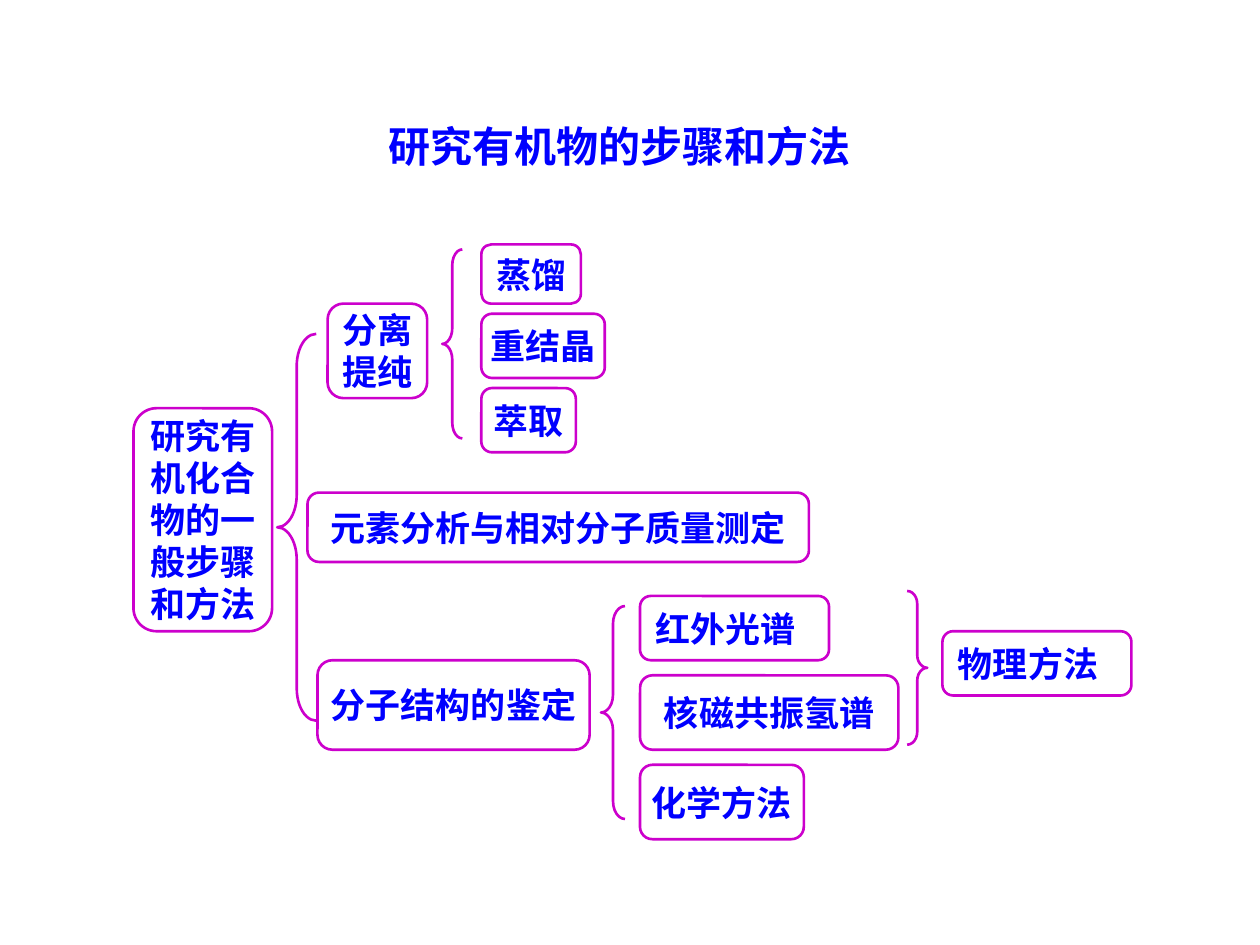
from dataclasses import dataclass

from pptx import Presentation
from pptx.dml.color import RGBColor
from pptx.enum.shapes import MSO_SHAPE
from pptx.enum.text import MSO_ANCHOR, PP_ALIGN
from pptx.util import Inches, Pt

ROUNDED = MSO_SHAPE.ROUNDED_RECTANGLE
LEFT_BRACE, RIGHT_BRACE = MSO_SHAPE.LEFT_BRACE, MSO_SHAPE.RIGHT_BRACE
LEFT, CENTER = PP_ALIGN.LEFT, PP_ALIGN.CENTER
MIDDLE = MSO_ANCHOR.MIDDLE


@dataclass(frozen=True)
class Theme:
    font: str = "Times New Roman"
    text: RGBColor = RGBColor(0x00, 0x00, 0xFF)
    line: RGBColor = RGBColor(0xCC, 0x00, 0xCC)
    line_width: Pt = Pt(1.5)
    title_size: Pt = Pt(24)
    body_size: Pt = Pt(20)


@dataclass(frozen=True)
class Node:
    lines: tuple[str, ...]
    x: float
    y: float
    w: float
    h: float
    align: PP_ALIGN = CENTER


@dataclass(frozen=True)
class Brace:
    x: float
    y: float
    w: float
    h: float
    kind: MSO_SHAPE = LEFT_BRACE


THEME = Theme()
METHOD_X, SPECTRUM_X = 3.82, 5.08

NODES = (
    Node(("研究有", "机化合", "物的一", "般步骤", "和方法"), 1.06, 3.24, 1.1, 1.77),
    Node(("分离", "提纯"), 2.6, 2.41, 0.79, 0.75),
    Node(("元素分析与相对分子质量测定",), 2.44, 3.91, 3.98, 0.55),
    Node(("分子结构的鉴定",), 2.52, 5.24, 2.16, 0.71),
    Node(("蒸馏",), METHOD_X, 1.94, 0.79, 0.47),
    Node(("重结晶",), METHOD_X, 2.49, 0.98, 0.51),
    Node(("萃取",), METHOD_X, 3.08, 0.75, 0.51),
    Node(("红外光谱",), SPECTRUM_X, 4.73, 1.5, 0.51, LEFT),
    Node(("核磁共振氢谱",), SPECTRUM_X, 5.36, 2.05, 0.59),
    Node(("化学方法",), SPECTRUM_X, 6.07, 1.3, 0.59),
    Node(("物理方法",), 7.48, 5.01, 1.5, 0.51, LEFT),
)

BRACES = (
    Brace(2.2, 2.65, 0.31, 3.07),
    Brace(3.51, 1.98, 0.16, 1.5),
    Brace(4.77, 4.81, 0.19, 1.69),
    Brace(7.2, 4.69, 0.16, 1.22, RIGHT_BRACE),
)


def write_lines(tf, lines: tuple[str, ...], size: Pt, align: PP_ALIGN) -> None:
    for i, line in enumerate(lines):
        p = tf.add_paragraph() if i else tf.paragraphs[0]
        p.text = line
        p.alignment = align
        p.font.name = THEME.font
        p.font.size = size
        p.font.bold = True
        p.font.color.rgb = THEME.text


def add_outline(slide, kind: MSO_SHAPE, item: Node | Brace):
    """Add an unfilled shape with the theme's line."""
    sp = slide.shapes.add_shape(
        kind, Inches(item.x), Inches(item.y), Inches(item.w), Inches(item.h))
    sp.shadow.inherit = False
    sp.fill.background()
    sp.line.color.rgb = THEME.line
    sp.line.width = THEME.line_width
    return sp


def add_node(slide, node: Node) -> None:
    sp = add_outline(slide, ROUNDED, node)
    tf = sp.text_frame
    tf.word_wrap = False
    tf.vertical_anchor = MIDDLE
    write_lines(tf, node.lines, THEME.body_size, node.align)


def add_brace(slide, brace: Brace) -> None:
    """Add a brace whose curves are each a twelfth of its height."""
    sp = add_outline(slide, brace.kind, brace)
    sp.adjustments[0] = brace.h / 12 / brace.w


def add_title(slide, title: str) -> None:
    box = slide.shapes.add_textbox(
        Inches(0.98), Inches(0.91), Inches(7.88), Inches(0.5))
    tf = box.text_frame
    tf.word_wrap = True
    write_lines(tf, (title,), THEME.title_size, CENTER)


def main() -> None:
    prs = Presentation()
    prs.slide_width, prs.slide_height = Inches(10), Inches(7.5)
    slide = prs.slides.add_slide(prs.slide_layouts[6])
    add_title(slide, "研究有机物的步骤和方法")
    for node in NODES:
        add_node(slide, node)
    for brace in BRACES:
        add_brace(slide, brace)
    prs.save("out.pptx")


if __name__ == "__main__":
    main()
